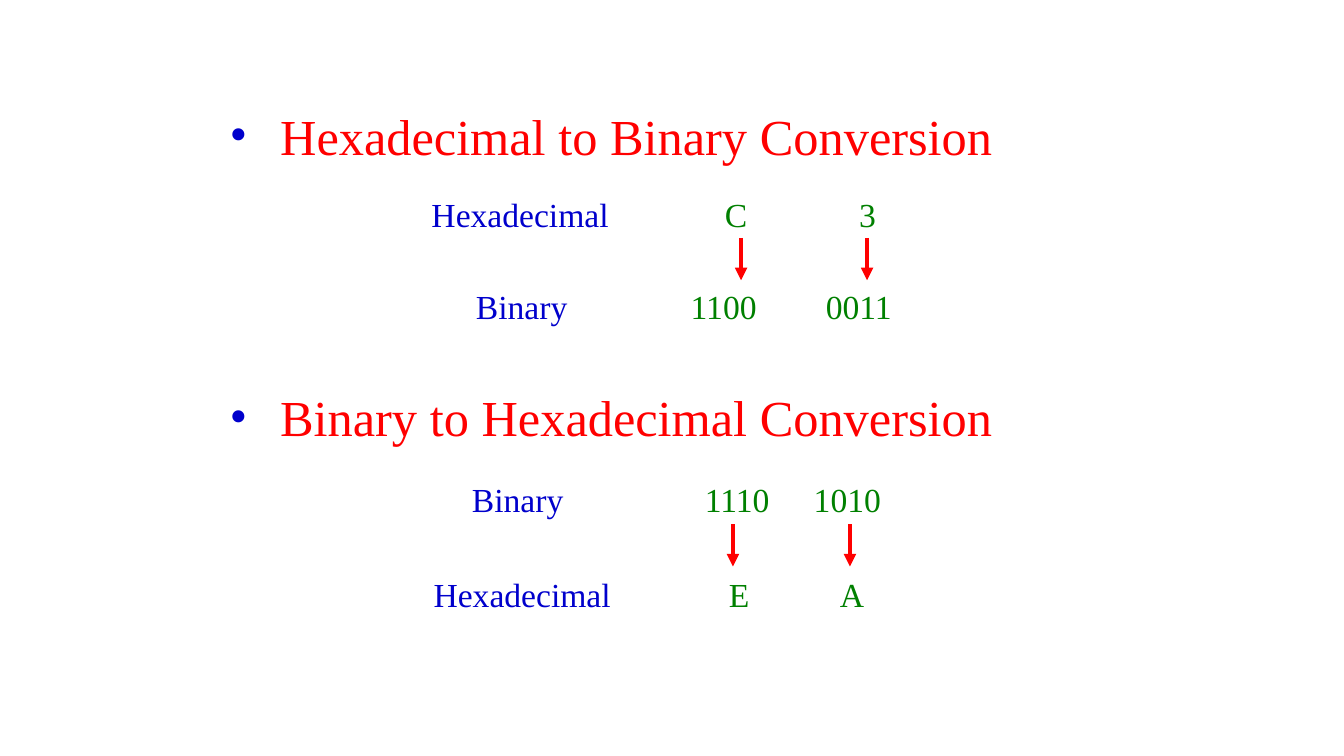
from lxml import etree
from pptx import Presentation
from pptx import util as u
from pptx.dml.color import RGBColor
from pptx.enum import shapes, text
from pptx.oxml import ns

COLORS = {"heading": "FF0000", "label": "0000CC", "digits": "008000", "arrow": "FF0000"}
FONT = "Times New Roman"


def add_child(parent, tag, **attrs):
    """Append a DrawingML element to parent."""
    return etree.SubElement(parent, ns.qn(tag), {k: str(v) for k, v in attrs.items()})


def add_run(p, content, size, color):
    """Add one formatted run to a paragraph."""
    r = p.add_run()
    r.text = content
    for name, value in {"name": FONT, "size": u.Pt(size)}.items():
        setattr(r.font, name, value)
    r.font.color.rgb = RGBColor.from_string(COLORS[color])


def add_box(s, left, top, width, height, inset=0.1):
    """Add a wrapping text box and return its first paragraph."""
    sp = s.shapes.add_textbox(*map(u.Inches, (left, top, width, height)))
    tf = sp.text_frame
    formats = {"word_wrap": True, "auto_size": text.MSO_AUTO_SIZE.NONE,
               "margin_left": u.Inches(inset)}
    for name, value in formats.items():
        setattr(tf, name, value)
    return tf.paragraphs[0]


def add_heading(s, top, content):
    """Add a bulleted section heading."""
    p = add_box(s, 2.18, top, 9.42, 0.7)
    add_run(p, content, 36, "heading")
    pPr = p._p.get_or_add_pPr()
    pPr.set("marL", str(u.Inches(0.5)))
    pPr.set("indent", str(u.Inches(-0.5)))
    add_child(add_child(pPr, "a:buClr"), "a:srgbClr", val=COLORS["label"])
    add_child(pPr, "a:buFont", typeface=FONT)
    add_child(pPr, "a:buChar", char="•")


def add_row(s, frame, label, digits, starts):
    """Add a label and its digit groups, with the text starts in slide inches."""
    left = frame[0]
    p = add_box(s, *frame, inset=starts[0] - left)
    add_run(p, label + "\t", 24, "label")
    add_run(p, "\t".join(digits), 24, "digits")
    tabs = add_child(p._p.get_or_add_pPr(), "a:tabLst")
    for start in starts[1:]:
        add_child(tabs, "a:tab", pos=u.Inches(start - starts[0]), algn="l")


def add_arrow(s, x, top, length=0.42):
    """Add a downward arrow."""
    ends = map(u.Inches, (x, top, x, top + length))
    c = s.shapes.add_connector(shapes.MSO_CONNECTOR.STRAIGHT, *ends)
    c.line.color.rgb = RGBColor.from_string(COLORS["arrow"])
    c.line.width = u.Pt(3)
    add_child(c.line._get_or_add_ln(), "a:tailEnd", type="triangle")
    add_child(c._element.spPr, "a:effectLst")


def main():
    """Build the conversion slide."""
    prs = Presentation()
    prs.slide_width, prs.slide_height = u.Inches(13.33), u.Inches(7.5)
    s = prs.slides.add_slide(prs.slide_layouts[6])

    add_heading(s, 0.99, "Hexadecimal to Binary Conversion")
    add_row(s, (4.1, 1.87, 4.7, 0.5), "Hexadecimal", ("C", "3"), (4.28, 7.19, 8.52))
    add_row(s, (4.29, 2.79, 4.69, 0.5), "Binary", ("1100", "0011"), (4.72, 6.85, 8.19))
    add_heading(s, 3.78, "Binary to Hexadecimal Conversion")
    add_row(s, (4.59, 4.7, 5.01, 0.9), "Binary", ("1110", "1010"), (4.68, 6.99, 8.07))
    add_row(s, (4.21, 5.64, 4.48, 0.5), "Hexadecimal", ("E", "A"), (4.3, 7.23, 8.33))

    for top, columns in ((2.36, (7.35, 8.6)), (5.2, (7.27, 8.43))):
        for x in columns:
            add_arrow(s, x, top)

    prs.save("out.pptx")


if __name__ == "__main__":
    main()
